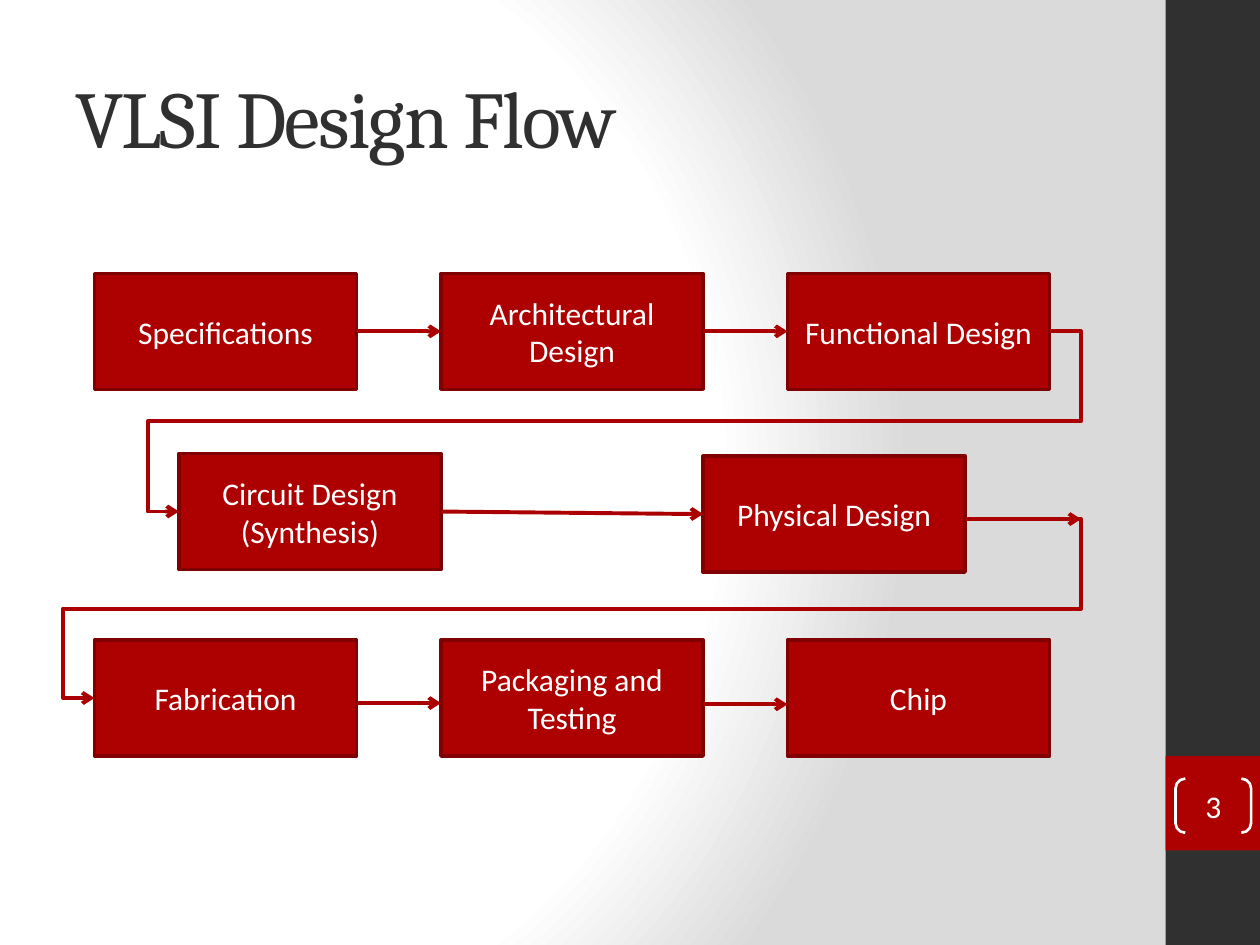
from pptx import Presentation
from pptx.dml.color import RGBColor
from pptx.enum.shapes import MSO_CONNECTOR, MSO_SHAPE
from pptx.enum.text import MSO_ANCHOR, PP_ALIGN
from pptx.oxml import parse_xml
from pptx.oxml.ns import nsdecls, qn
from pptx.util import Inches, Pt
from lxml.etree import SubElement

# Content: steps as (text, left, top)
TITLE = "VLSI Design Flow"
NUMBER = "3"
COLS = [0.75, 3.5, 6.25]
TOP_ROW, BOTTOM_ROW = 2.17, 5.08
STEPS = [
    *zip(["Specifications", "Architectural Design", "Functional Design"], COLS, [TOP_ROW] * 3),
    ("Circuit Design\n(Synthesis)", 1.42, 3.6),
    ("Physical Design", 5.58, 3.62),
    *zip(["Fabrication", "Packaging and Testing", "Chip"], COLS, [BOTTOM_ROW] * 3),
]
JOINED = [(0, 1), (1, 2), (3, 4)]
FREE = [(2.83, 5.58, 3.5, 5.58), (5.58, 5.59, 6.25, 5.59), (7.67, 4.12, 8.58, 4.12)]
BOX_W, BOX_H = 2.08, 0.92
OUTSET = 0.25  # how far a return arrow runs past the boxes
RIGHT, LEFT = 3, 1  # connection sites

THEME = {
    "dark": "303030", "red": "AD0101", "edge": "800101", "arrow": "AA0000",
    "white": "FFFFFF", "grey": "DADADA",
    "head": "Cambria", "body": "Calibri", "title_pt": 46, "body_pt": 18,
}


def rgb(name):
    return RGBColor.from_string(THEME[name])


def put_text(sp, text, size="body_pt", font="body", color="white",
             align=PP_ALIGN.CENTER, spacing=None, inset=None):
    tf = sp.text_frame
    tf.word_wrap = True
    tf.vertical_anchor = MSO_ANCHOR.MIDDLE
    if inset is not None:
        tf.margin_left = tf.margin_right = tf.margin_top = tf.margin_bottom = Inches(inset)
    for i, line in enumerate(text.split("\n")):
        p = tf.paragraphs[0] if i == 0 else tf.add_paragraph()
        p.alignment = align
        r = p.add_run()
        r.text = line
        r.font.size, r.font.name = Pt(THEME[size]), THEME[font]
        r.font.color.rgb = rgb(color)
        if spacing is not None:
            r.font._element.set("spc", str(spacing * 100))


def add_box(s, x, y, w, h, kind=MSO_SHAPE.RECTANGLE, fill=None, line=None, width=2):
    sp = s.shapes.add_shape(kind, Inches(x), Inches(y), Inches(w), Inches(h))
    sp.shadow.inherit = False
    if fill:
        sp.fill.solid()
        sp.fill.fore_color.rgb = rgb(fill)
    else:
        sp.fill.background()
    if line:
        sp.line.color.rgb, sp.line.width = rgb(line), Pt(width)
    else:
        sp.line.fill.background()
    return sp


def add_arrow(s, x1, y1, x2, y2, kind=MSO_CONNECTOR.STRAIGHT):
    c = s.shapes.add_connector(kind, Inches(x1), Inches(y1), Inches(x2), Inches(y2))
    c.line.color.rgb, c.line.width = rgb("arrow"), Pt(2.25)
    SubElement(c.line._get_or_add_ln(), qn("a:tailEnd"), type="arrow")
    SubElement(c._element.spPr, qn("a:effectLst"))
    return c


def add_return_arrow(s, x1, y1, x2, y2):
    """Five-part elbow: out to the right, back across, into the left side."""
    c = add_arrow(s, x1, y1, x2, y2, MSO_CONNECTOR.ELBOW)
    geom = c._element.spPr.find(qn("a:prstGeom"))
    geom.set("prst", "bentConnector5")
    av = geom.find(qn("a:avLst"))
    out = round(OUTSET / (x1 - x2) * 100000)
    for i, value in enumerate([-out, 50000, 100000 + out], 1):
        SubElement(av, qn("a:gd"), name=f"adj{i}", fmla=f"val {value}")
    return c


def set_background(s):
    stops = "".join(
        f'<a:gs pos="{pos * 1000}"><a:srgbClr val="{THEME[name]}"/></a:gs>'
        for pos, name in [(0, "white"), (75, "white"), (100, "grey")])
    s._element.cSld.insert(0, parse_xml(
        f'<p:bg {nsdecls("p", "a")}><p:bgPr><a:gradFill><a:gsLst>{stops}</a:gsLst>'
        '<a:path path="circle"><a:fillToRect l="20000" t="50000" r="100000" b="50000"/>'
        '</a:path></a:gradFill><a:effectLst/></p:bgPr></p:bg>'))


def main():
    prs = Presentation()
    prs.slide_width, prs.slide_height = Inches(10), Inches(7.5)
    s = prs.slides.add_slide(prs.slide_layouts[6])
    set_background(s)

    # Side band, title and slide number
    add_box(s, 9.25, 0, 0.75, 7.5, fill="dark")
    add_box(s, 9.25, 6, 0.75, 0.75, fill="red")
    title = s.shapes.add_textbox(Inches(0.5), Inches(0.3), Inches(8.33), Inches(1.25))
    put_text(title, TITLE, size="title_pt", font="head", color="dark",
             align=PP_ALIGN.LEFT, spacing=-1)
    number = add_box(s, 9.33, 6.18, 0.6, 0.43, MSO_SHAPE.DOUBLE_BRACKET,
                     line="white", width=1.5)
    number.adjustments[0] = 0.18
    put_text(number, NUMBER, inset=0)

    # Steps
    boxes = []
    for text, x, y in STEPS:
        sp = add_box(s, x, y, BOX_W, BOX_H, fill="red", line="edge")
        put_text(sp, text)
        boxes.append(sp)

    # Arrows within the rows
    for a, b in JOINED:
        (_, xa, ya), (_, xb, yb) = STEPS[a], STEPS[b]
        c = add_arrow(s, xa + BOX_W, ya + BOX_H / 2, xb, yb + BOX_H / 2)
        c.begin_connect(boxes[a], RIGHT)
        c.end_connect(boxes[b], LEFT)
    for ends in FREE:
        add_arrow(s, *ends)

    # Arrows back to the start of the next row
    c = add_return_arrow(s, 8.33, 2.63, 1.42, 4.06)
    c.begin_connect(boxes[2], RIGHT)
    c.end_connect(boxes[3], LEFT)
    c = add_return_arrow(s, 8.33, 4.12, 0.75, 5.54)
    c.end_connect(boxes[5], LEFT)

    prs.save("out.pptx")


if __name__ == "__main__":
    main()
